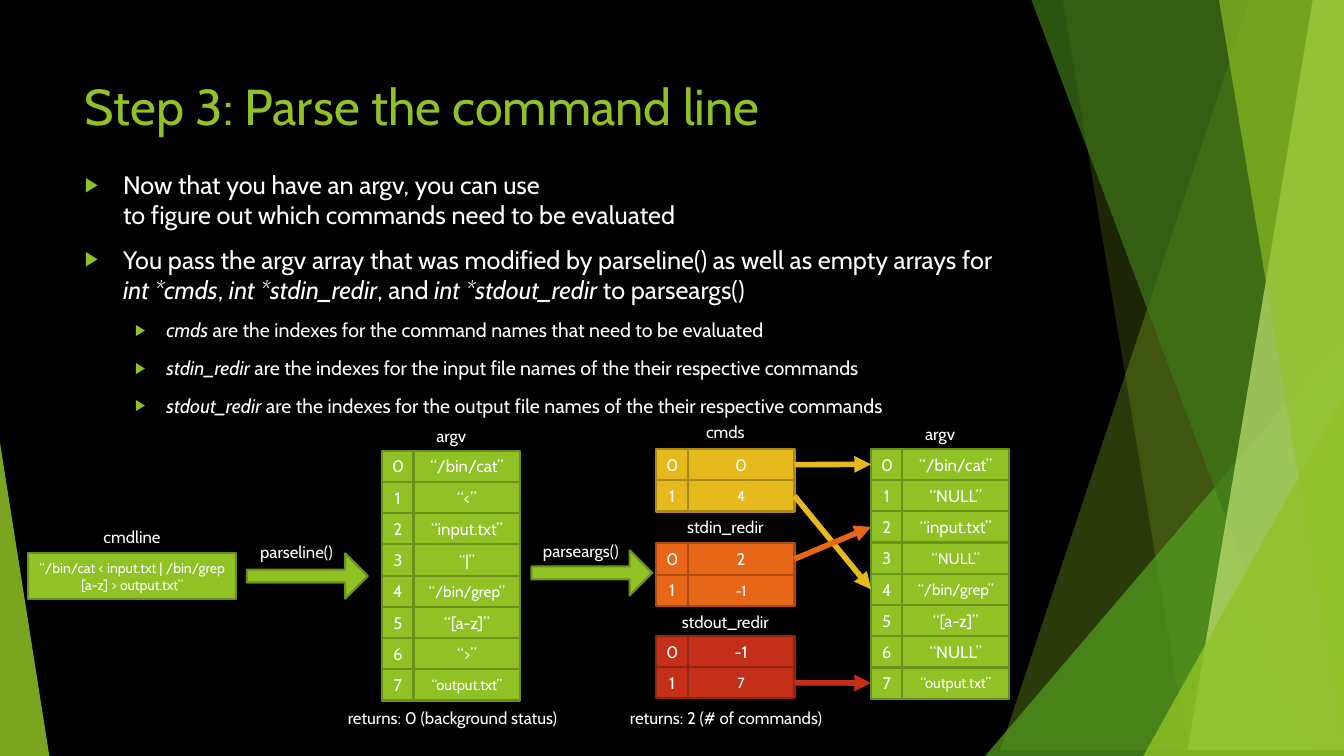
"""Build the slide about parsing a command line into argv and redirection arrays."""
from lxml.etree import SubElement
from pptx import Presentation
from pptx.dml.color import RGBColor
from pptx.enum.shapes import MSO_CONNECTOR, MSO_SHAPE
from pptx.enum.text import MSO_ANCHOR, MSO_AUTO_SIZE, PP_ALIGN
from pptx.oxml.ns import qn
from pptx.util import Inches, Pt

COLOURS = {
    "black": "000000", "white": "FFFFFF",
    "green": "90C226", "green edge": "6B901C",
    "yellow": "E6B91E", "yellow edge": "AA8916",
    "orange": "E76618", "orange edge": "AB4B12",
    "red": "C42F1A", "red edge": "912313",
    "leaf": "54A021", "forest": "3F7819", "lime": "C0E474",
}
FONT = "Cabin"
UNIT = Inches(0.31)
COLUMNS, ROWS = 43, 24.19
VALUE_COLUMNS = 3.42
LABEL_ROWS = 0.97

presentation = Presentation()
presentation.slide_width = Inches(13.33)
presentation.slide_height = Inches(7.5)
slide = presentation.slides.add_slide(presentation.slide_layouts[1])
slide.background.fill.solid()
slide.background.fill.fore_color.rgb = RGBColor.from_string(COLOURS["black"])
shapes = slide.shapes


def write(shape, text, size):
    """Put one centred white line of text into a shape."""
    frame = shape.text_frame
    frame.word_wrap = True
    frame.vertical_anchor = MSO_ANCHOR.MIDDLE
    paragraph = frame.paragraphs[0]
    paragraph.alignment = PP_ALIGN.CENTER
    run = paragraph.add_run()
    run.text = text
    run.font.name = FONT
    run.font.size = Pt(size)
    run.font.color.rgb = RGBColor.from_string(COLOURS["white"])


def add_box(kind, column, row, columns, rows, colour):
    """Add an outlined preset shape on the grid."""
    shape = shapes.add_shape(kind, *(int(n * UNIT) for n in (column, row, columns, rows)))
    shape.shadow.inherit = False
    shape.fill.solid()
    shape.fill.fore_color.rgb = RGBColor.from_string(COLOURS[colour])
    shape.line.color.rgb = RGBColor.from_string(COLOURS[colour + " edge"])
    shape.line.width = Pt(1.5)
    return shape


facets = [
    ("band", (39.61, 32.39), "green", 30),
    ("band", (33.87, 38.16), "green", 20),
    ("wedge", (31.52, 10.74, COLUMNS, 1), "leaf", 72),
    ("band", (32.94, 41.65), "forest", 70),
    ("band", (42.03, 38.45), "lime", 70),
    ("band", (38.58, 42.52), "green", 65),
    ("wedge", (36.58, 12.68, COLUMNS, 1), "green", 80),
    ("wedge", (0, 14.16, 1.58, 0), "green", 85),
]
for form, position, colour, opacity in facets:
    if form == "band":
        top_column, bottom_column = position
        builder = shapes.build_freeform(top_column, 0, scale=UNIT)
        builder.add_line_segments([(COLUMNS, 0), (COLUMNS, ROWS), (bottom_column, ROWS)])
        facet = builder.convert_to_shape()
    else:
        left, top, right, peak = position
        facet = shapes.add_shape(
            MSO_SHAPE.ISOSCELES_TRIANGLE, int(left * UNIT), int(top * UNIT),
            int((right - left) * UNIT), int((ROWS - top) * UNIT))
        facet.adjustments[0] = peak
    facet.shadow.inherit = False
    facet.line.fill.background()
    facet.fill.solid()
    facet.fill.fore_color.rgb = RGBColor.from_string(COLOURS[colour])
    fill_colour = facet.fill._xPr.find(qn("a:solidFill"))[0]
    SubElement(fill_colour, qn("a:alpha"), val=str(opacity * 1000))

title, body = shapes.title, slide.placeholders[1]
for placeholder, position, anchor in (
    (title, (2.39, 2.16, 33.19, 2.42), MSO_ANCHOR.MIDDLE),
    (body, (2.39, 5.26, 30.32, 13.68), MSO_ANCHOR.TOP),
):
    placeholder.left, placeholder.top, placeholder.width, placeholder.height = (
        int(n * UNIT) for n in position)
    placeholder.text_frame.word_wrap = True
    placeholder.text_frame.auto_size = MSO_AUTO_SIZE.NONE
    placeholder.text_frame.vertical_anchor = anchor

title_paragraph = title.text_frame.paragraphs[0]
title_paragraph.alignment = PP_ALIGN.LEFT
title_run = title_paragraph.add_run()
title_run.text = "Step 3: Parse the command line"
title_run.font.name = FONT
title_run.font.size = Pt(36)
title_run.font.color.rgb = RGBColor.from_string(COLOURS["green"])

LEVELS = [(18, 0.38, -0.38), (14, 0.81, -0.31)]
bullets = [
    (0, [("Now that you have an argv, you can use", False), None,
         ("to figure out which commands need to be evaluated", False)]),
    (0, [("You pass the argv array that was modified by parseline() as well as empty arrays for ", False),
         ("int *cmds", True), (", ", False), ("int *stdin_redir", True), (", and ", False),
         ("int *stdout_redir ", True), ("to parseargs()", False)]),
    (1, [("cmds", True),
         (" are the indexes for the command names that need to be evaluated", False)]),
    (1, [("stdin_redir ", True),
         ("are the indexes for the input file names of the their respective commands", False)]),
    (1, [("stdout_redir ", True),
         ("are the indexes for the output file names of the their respective commands", False)]),
]
for number, (level, pieces) in enumerate(bullets):
    frame = body.text_frame
    paragraph = frame.add_paragraph() if number else frame.paragraphs[0]
    size, margin, indent = LEVELS[level]
    paragraph.level = level
    paragraph.alignment = PP_ALIGN.LEFT
    paragraph.space_before = Pt(10 if number else 0)
    properties = paragraph._p.get_or_add_pPr()
    properties.set("marL", str(Inches(margin)))
    properties.set("indent", str(Inches(indent)))
    bullet_colour = SubElement(properties, qn("a:buClr"))
    SubElement(bullet_colour, qn("a:srgbClr"), val=COLOURS["green"])
    SubElement(properties, qn("a:buSzPct"), val="80000")
    SubElement(properties, qn("a:buChar"), char="▶")
    for piece in pieces:
        if piece is None:
            paragraph.add_line_break()
            continue
        run = paragraph.add_run()
        run.text, run.font.italic = piece
        run.font.name = FONT
        run.font.size = Pt(size)
        run.font.color.rgb = RGBColor.from_string(COLOURS["white"])

command = add_box(MSO_SHAPE.RECTANGLE, 0.9, 17.71, 6.65, 1.45, "green")
write(command, "“/bin/cat < input.txt | /bin/grep [a-z] > output.txt”", 10)
for column, row in ((7.9, 17.71), (17, 17.61)):
    arrow = add_box(MSO_SHAPE.RIGHT_ARROW, column, row, 3.87, 1.45, "green")
    arrow.adjustments[0] = 0.285

ARGV_SIZES = [12, 12, 12, 11, 11, 12, 12, 10.5]
PAIR_SIZES = [12, 10.5]
arrays = {
    "parsed argv": (12.23, 14.42, "green", ARGV_SIZES, [
        "“/bin/cat”", "“<”", "“input.txt”", "“|”", "“/bin/grep”", "“[a-z]”", "“>”", "“output.txt”"]),
    "final argv": (27.87, 14.36, "green", ARGV_SIZES, [
        "“/bin/cat”", "“NULL”", "“input.txt”", "“NULL”", "“/bin/grep”", "“[a-z]”", "“NULL”", "“output.txt”"]),
    "cmds": (21, 14.37, "yellow", PAIR_SIZES, ["0", "4"]),
    "stdin_redir": (21, 17.39, "orange", PAIR_SIZES, ["2", "-1"]),
    "stdout_redir": (21, 20.35, "red", PAIR_SIZES, ["-1", "7"]),
}
index_cells, value_cells = {}, {}
for name, (column, row, colour, sizes, values) in arrays.items():
    for index, (value, size) in enumerate(zip(values, sizes)):
        value_cell = add_box(MSO_SHAPE.RECTANGLE, column + 1, row + index, VALUE_COLUMNS, 1, colour)
        write(value_cell, value, size)
        index_cell = add_box(MSO_SHAPE.RECTANGLE, column, row + index, 1, 1, colour)
        write(index_cell, str(index), 12)
        value_cells[name, index], index_cells[name, index] = value_cell, index_cell

labels = [
    ("cmdline", 0.9, 16.71, 6.65),
    ("parseline()", 7.55, 17.19, 3.87),
    ("parseargs()", 16.65, 17.13, 3.87),
    ("argv", 12.23, 13.45, 1 + VALUE_COLUMNS),
    ("argv", 27.87, 13.39, 1 + VALUE_COLUMNS),
    ("cmds", 21, 13.32, 1 + VALUE_COLUMNS),
    ("stdin_redir", 21, 16.39, 1 + VALUE_COLUMNS),
    ("stdout_redir", 21, 19.42, 1 + VALUE_COLUMNS),
    ("returns: 0 (background status)", 10.35, 22.48, 8.26),
    ("returns: 2 (# of commands)", 19.52, 22.48, 7.42),
]
for text, column, row, columns in labels:
    label = shapes.add_textbox(*(int(n * UNIT) for n in (column, row, columns, LABEL_ROWS)))
    write(label, text, 12)

for name, index, target in (("cmds", 0, 0), ("cmds", 1, 4), ("stdin_redir", 0, 2), ("stdout_redir", 1, 7)):
    connector = shapes.add_connector(MSO_CONNECTOR.STRAIGHT, 0, 0, 0, 0)
    connector.begin_connect(value_cells[name, index], 3)
    connector.end_connect(index_cells["final argv", target], 1)
    connector.line.color.rgb = RGBColor.from_string(COLOURS[arrays[name][2]])
    connector.line.width = Pt(4)
    SubElement(connector.line._get_or_add_ln(), qn("a:tailEnd"), type="triangle")
    SubElement(connector._element.spPr, qn("a:effectLst"))

presentation.save("out.pptx")
